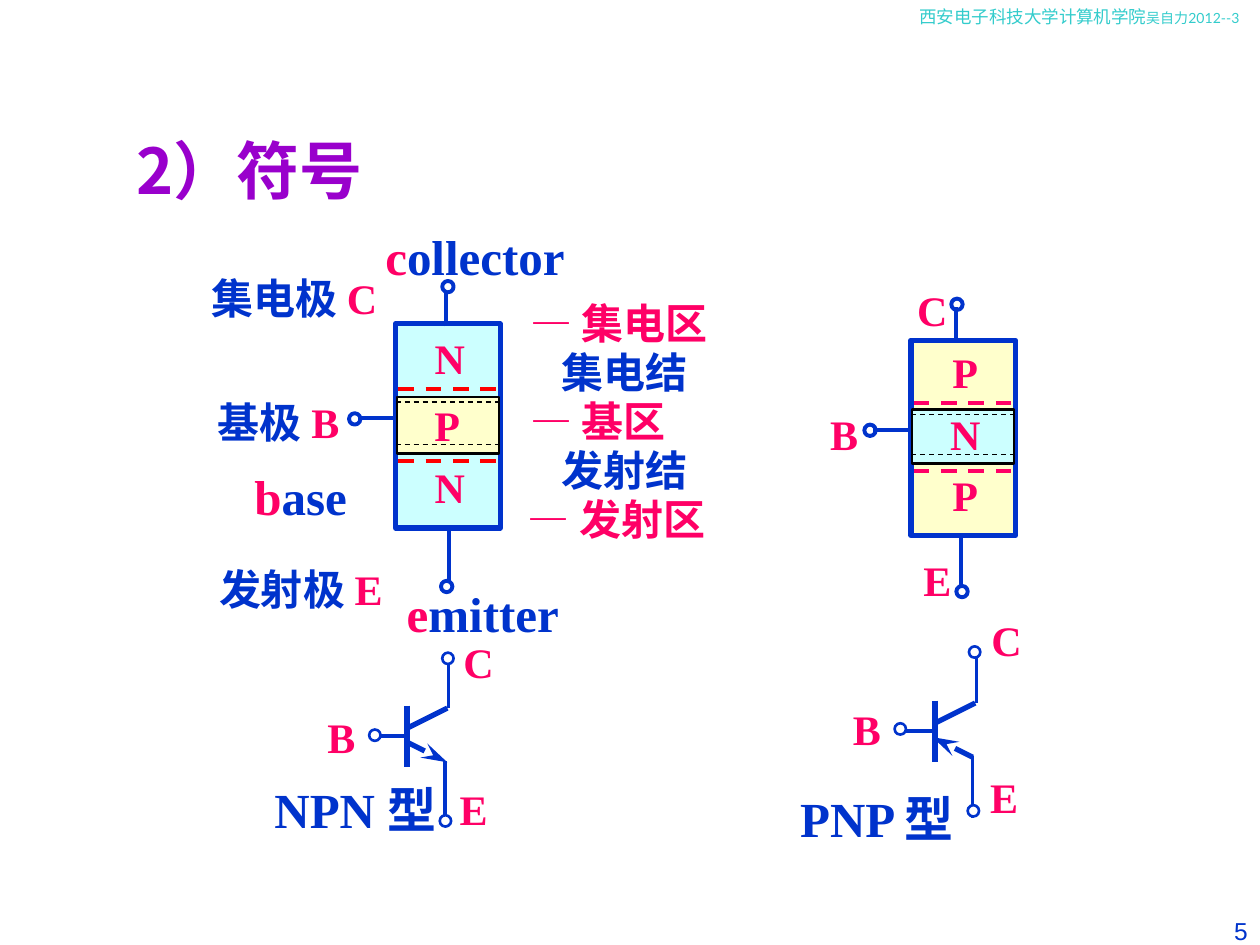
import pptx
import pptx.util
import pptx.dml.color
import pptx.enum.dml
import pptx.enum.shapes
import pptx.enum.text
import pptx.oxml.xmlchemy

Inches = pptx.util.Inches
PP_ALIGN = pptx.enum.text.PP_ALIGN
ANCHOR = pptx.enum.text.MSO_ANCHOR
SHAPE = pptx.enum.shapes.MSO_SHAPE

COLORS = {
    "blue": "0033CC", "pink": "FF0066", "purple": "9900CC", "teal": "33CCCC",
    "red": "FF0000", "black": "000000", "white": "FFFFFF",
    "n": "CCFFFF", "p": "FFFFCC",
}
CJK = "Noto Sans CJK SC"
SERIF = "Times New Roman"
DOT = 0.09


def rgb(name):
    return pptx.dml.color.RGBColor.from_string(COLORS[name])


def add_xml(parent, tag, **attrs):
    el = pptx.oxml.xmlchemy.OxmlElement(tag)
    for key, value in attrs.items():
        el.set(key, value)
    parent.append(el)


def fill_text(sp, runs, size, font=SERIF, bold=True, align=PP_ALIGN.LEFT,
              anchor=ANCHOR.TOP):
    """Write runs of (text, colour) or (text, colour, size) into a shape."""
    tf = sp.text_frame
    frame = {"word_wrap": True, "vertical_anchor": anchor,
             "margin_left": Inches(0.1), "margin_right": Inches(0.1),
             "margin_top": Inches(0.05), "margin_bottom": Inches(0.05)}
    for key, value in frame.items():
        setattr(tf, key, value)
    p = tf.paragraphs[0]
    p.alignment = align
    for text, color, *own_size in runs:
        r = p.add_run()
        r.text = text
        look = {"size": pptx.util.Pt(own_size[0] if own_size else size),
                "name": font, "bold": bold}
        for key, value in look.items():
            setattr(r.font, key, value)
        r.font.color.rgb = rgb(color)
        add_xml(r.font._element, "a:ea", typeface=CJK)


def add_text(shapes, box, runs, size=24, **look):
    sp = shapes.add_textbox(*map(Inches, box))
    fill_text(sp, runs, size, **look)


def add_letter(shapes, x, y, letter, w=0.44, anchor=ANCHOR.MIDDLE):
    add_text(shapes, (x, y, w, 0.5), [(letter, "pink")],
             align=PP_ALIGN.CENTER, anchor=anchor)


def add_line(shapes, start, end, width=2.25, color="blue", dash=False, arrow=False):
    sp = shapes.add_connector(pptx.enum.shapes.MSO_CONNECTOR.STRAIGHT,
                              *map(Inches, (*start, *end)))
    sp.line.color.rgb = rgb(color)
    sp.line.width = pptx.util.Pt(width)
    if dash:
        sp.line.dash_style = pptx.enum.dml.MSO_LINE.DASH
    if arrow:
        add_xml(sp.line._get_or_add_ln(), "a:tailEnd", type="stealth", w="med", len="lg")
    add_xml(sp._element.spPr, "a:effectLst")


def add_block(shapes, kind, box, fill, line, width):
    sp = shapes.add_shape(kind, *map(Inches, box))
    sp.shadow.inherit = False
    if fill:
        sp.fill.solid()
        sp.fill.fore_color.rgb = rgb(fill)
    else:
        sp.fill.background()
    sp.line.color.rgb = rgb(line)
    sp.line.width = pptx.util.Pt(width)


def add_terminal(shapes, x, y, fill=None, width=2.25):
    add_block(shapes, SHAPE.OVAL, (x, y, DOT, DOT), fill, "blue", width)


def add_structure(s, x, body, base, leads, dots, junctions, layers, junction_color):
    """Three-layer block; body and base are (top, height) pairs."""
    shapes = s.shapes.add_group_shape().shapes
    outer, inner = layers[0][0], layers[1][0]
    add_block(shapes, SHAPE.RECTANGLE, (x, body[0], 0.83, body[1]),
              outer.lower(), "blue", 3)
    for start, end in leads:
        add_line(shapes, start, end)
    for y in junctions:
        add_line(shapes, (x + 0.02, y), (x + 0.85, y), color=junction_color, dash=True)
    for dot in dots:
        add_terminal(shapes, *dot)
    add_block(shapes, SHAPE.RECTANGLE, (x + 0.01, base[0], 0.81, base[1]),
              inner.lower(), "black", 1.25)
    for letter, dx, y in layers:
        add_letter(shapes, x + dx, y, letter, w=0.44 if letter == "N" else 0.4)
    for y in (base[0] + 0.04, base[0] + base[1] - 0.07):
        add_line(shapes, (x, y), (x + 0.83, y), width=0.75, color="black", dash=True)
    return shapes


def add_symbol(s, x, y, emitter, labels, dots):
    """Circuit symbol; x, y is the top of its bar and all offsets start there."""
    shapes = s.shapes.add_group_shape().shapes
    for letter, dx, dy, w in labels:
        add_letter(shapes, x + dx, y + dy, letter, w)
    strokes = [((0, 0), (0, 0.49), 3), ((0, 0.18), (0.32, 0.02), 3),
               (*emitter, 3),
               ((0, 0.24), (-0.27, 0.24), 2), ((0.33, 0.02), (0.33, -0.42), 2),
               ((0.3, 0.44), (0.3, 0.93), 2)]
    for start, end, width in strokes:
        add_line(shapes, (x + start[0], y + start[1]), (x + end[0], y + end[1]),
                 width, arrow=(start, end) == emitter)
    for dx, dy in dots:
        add_terminal(shapes, x + dx, y + dy, "white", 1.5)


def add_captions(s):
    for x, y, w, name, letter in [(1.64, 4.42, 2.37, "发射极 ", "E"),
                                  (1.63, 3.1, 1.64, "基极 ", "B"),
                                  (1.58, 2.11, 2.34, "集电极 ", "C")]:
        add_text(s.shapes, (x, y, w, 0.5), [(name, "blue"), (letter, "pink")],
                 anchor=ANCHOR.MIDDLE)
    for y, name in [(2.7, "集电结"), (3.48, "发射结")]:
        add_text(s.shapes, (4.36, y, 1.75, 0.5), [(name, "blue")], anchor=ANCHOR.MIDDLE)
    for x, y, w, name in [(4.11, 2.31, 2.16, "— 集电区"), (4.11, 3.09, 1.8, "— 基区"),
                          (4.09, 3.87, 2.2, "— 发射区")]:
        add_text(s.shapes, (x, y, w, 0.5), [(name, "pink")])
    for x, y, w, word in [(3.13, 4.58, 1.74, "emitter"), (1.92, 3.65, 1.29, "base"),
                          (2.96, 1.75, 1.94, "collector")]:
        add_text(s.shapes, (x, y, w, 0.57), [(word[0], "pink"), (word[1:], "blue")], 28)
    for x, y, w, name in [(1.92, 6.14, 1.8, "NPN 型"), (6, 6.21, 1.92, "PNP 型")]:
        add_text(s.shapes, (x, y, w, 0.57), [(name, "blue")], 28, align=PP_ALIGN.CENTER)


def add_title(s):
    sp = s.shapes.title
    box = {"left": 0.98, "top": 0.99, "width": 2.27, "height": 0.7}
    for key, value in box.items():
        setattr(sp, key, Inches(value))
    fill_text(sp, [("2）符号", "purple")], 36, font=CJK)


def main():
    prs = pptx.Presentation()
    prs.slide_width, prs.slide_height = Inches(10), Inches(7.5)
    s = prs.slides.add_slide(prs.slide_layouts[5])
    add_text(s.shapes, (7.2, 0, 2.8, 0.27),
             [("西安电子科技大学计算机学院", "teal"), ("吴自力2012--3", "teal", 8)],
             10, font="Lato", bold=False)
    add_text(s.shapes, (9.58, 7.22, 0.42, 0.28), [("5", "blue")], 14,
             font="Arial", bold=False, align=PP_ALIGN.RIGHT)
    add_title(s)

    add_structure(
        s, 3.14, body=(2.57, 1.62), base=(3.15, 0.45),
        leads=[((3.54, 2.59), (3.54, 2.31)), ((3.56, 4.21), (3.56, 4.61)),
               ((3.15, 3.32), (2.84, 3.32))],
        dots=[(2.77, 3.28), (3.51, 2.23), (3.5, 4.61)], junctions=(3.09, 3.66),
        layers=[("N", 0.21, 2.59), ("P", 0.21, 3.12), ("N", 0.21, 3.61)],
        junction_color="red")
    add_captions(s)
    pnp = add_structure(
        s, 7.23, body=(2.7, 1.55), base=(3.25, 0.43),
        leads=[((7.59, 2.71), (7.59, 2.44)), ((7.63, 4.26), (7.63, 4.65)),
               ((7.24, 3.41), (6.93, 3.41))],
        dots=[(6.86, 3.37), (7.55, 2.37), (7.59, 4.65)], junctions=(3.2, 3.74),
        layers=[("P", 0.23, 2.7), ("N", 0.21, 3.19), ("P", 0.23, 3.68)],
        junction_color="pink")
    for x, y, letter in [(7.22, 4.35, "E"), (6.48, 3.19, "B"), (7.18, 2.21, "C")]:
        add_letter(pnp, x, y, letter, anchor=ANCHOR.TOP)

    add_symbol(s, 3.23, 5.6, emitter=((0, 0.29), (0.32, 0.45)),
               labels=[("E", 0.3, 0.57, 0.46), ("C", 0.35, -0.6, 0.32),
                       ("B", -0.73, 0, 0.42)],
               dots=[(0.28, -0.42), (0.26, 0.87), (-0.3, 0.19)])
    add_symbol(s, 7.42, 5.56, emitter=((0.3, 0.45), (-0.02, 0.29)),
               labels=[("E", 0.34, 0.51, 0.42), ("C", 0.35, -0.73, 0.32),
                       ("B", -0.75, -0.03, 0.42)],
               dots=[(0.27, -0.43), (0.26, 0.83), (-0.32, 0.18)])
    prs.save("out.pptx")


if __name__ == "__main__":
    main()
